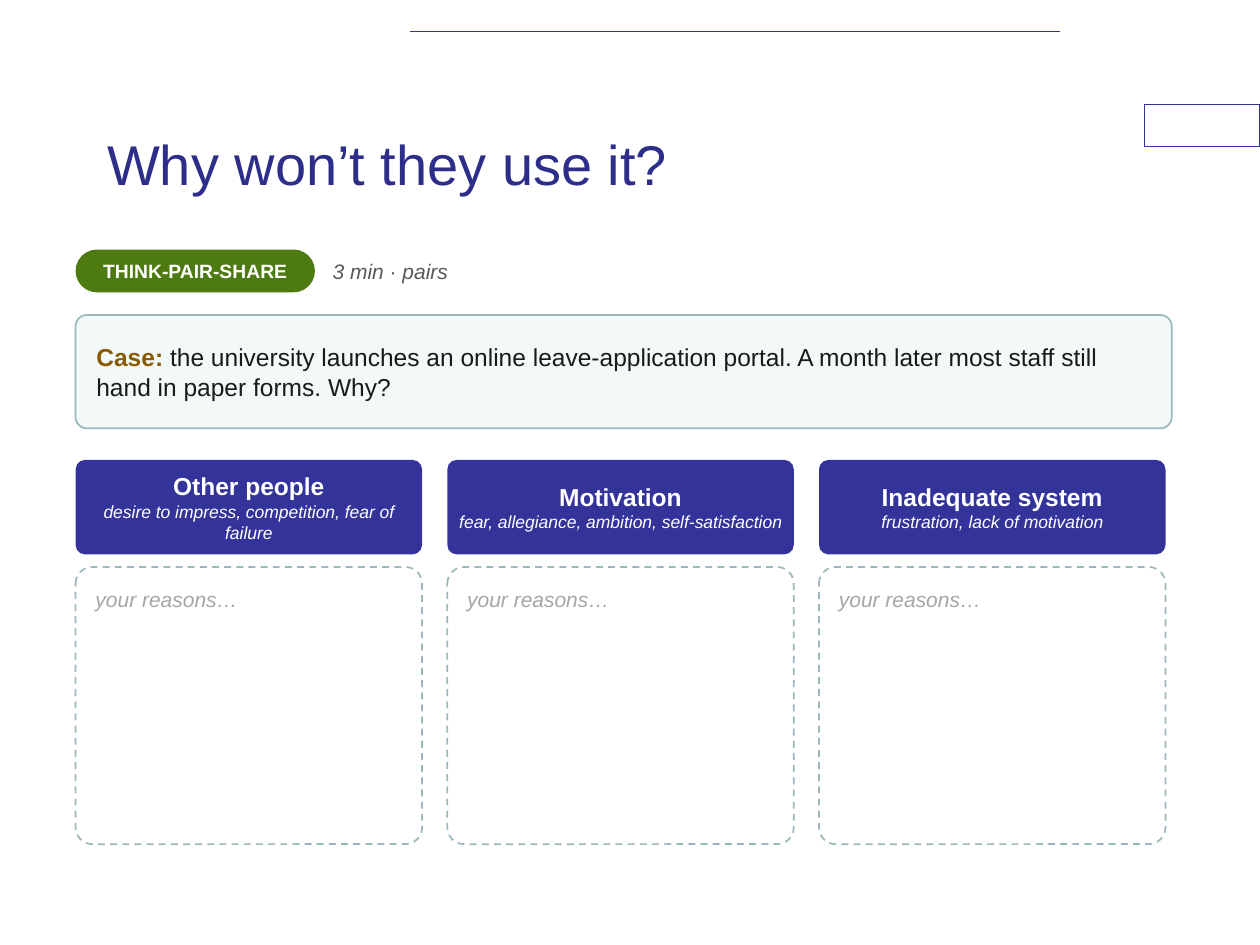
from lxml import etree
from pptx import Presentation
from pptx.dml.color import RGBColor
from pptx.enum import dml, shapes, text
from pptx.oxml.ns import qn
from pptx.util import Pt

FONT = "Arial"
INDIGO = RGBColor(0x33, 0x33, 0x99)
TITLE_BLUE = RGBColor(0x2D, 0x2D, 0x8A)
GREEN = RGBColor(0x4E, 0x7A, 0x12)
BROWN = RGBColor(0x8A, 0x5A, 0x00)
PALE_TEAL = RGBColor(0xF3, 0xF8, 0xF9)
TEAL = RGBColor(0x9D, 0xB8, 0xBC)
INK = RGBColor(0x1A, 0x1A, 0x1A)
GREY = RGBColor(0x59, 0x59, 0x59)
HINT_GREY = RGBColor(0xA6, 0xA6, 0xA6)
WHITE = RGBColor(0xFF, 0xFF, 0xFF)

LEFT = 43.2
COLUMN_WIDTH, COLUMN_STEP = 198, 212.4
COLUMNS = [
    ("Other people", "desire to impress, competition, fear of failure"),
    ("Motivation", "fear, allegiance, ambition, self-satisfaction"),
    ("Inadequate system", "frustration, lack of motivation"),
]

presentation = Presentation()
presentation.slide_width, presentation.slide_height = Pt(720), Pt(540)
slide = presentation.slides.add_slide(presentation.slide_layouts[5])


def add_box(left, top, width, height, fill=None, line=None, corner=None, inset=0):
    """Add a rectangle, rounded when corner is given, with equal text insets."""
    kind = shapes.MSO_SHAPE.RECTANGLE if corner is None else shapes.MSO_SHAPE.ROUNDED_RECTANGLE
    shape = slide.shapes.add_shape(kind, Pt(left), Pt(top), Pt(width), Pt(height))
    shape.shadow.inherit = False
    if corner is not None:
        shape.adjustments[0] = corner
    if fill is None:
        shape.fill.background()
    else:
        shape.fill.solid()
        shape.fill.fore_color.rgb = fill
    if line is None:
        shape.line.fill.background()
    else:
        shape.line.color.rgb = line
        shape.line.width = Pt(1)
    frame = shape.text_frame
    frame.word_wrap = True
    frame.vertical_anchor = text.MSO_ANCHOR.MIDDLE
    frame.margin_left = frame.margin_right = frame.margin_top = frame.margin_bottom = Pt(inset)
    return shape


def format_paragraph(paragraph, size, color, bold=False, italic=False, align=text.PP_ALIGN.LEFT):
    paragraph.alignment = align
    font = paragraph.font
    font.name, font.size, font.bold, font.italic = FONT, Pt(size), bold, italic
    font.color.rgb = color


# Frame decoration
corner_tab = add_box(653.8, 59.8, 66.2, 23.8, WHITE, INDIGO)
corner_tab.line.width = Pt(0.75)
top_rule = slide.shapes.add_connector(
    shapes.MSO_CONNECTOR.STRAIGHT, Pt(234), Pt(18), Pt(606), Pt(18))
top_rule.line.color.rgb = INDIGO
top_rule.line.width = Pt(1)
etree.SubElement(top_rule._element.spPr, qn("a:effectLst"))

# Title
title = slide.shapes.title
title.left, title.top, title.width, title.height = Pt(54), Pt(48), Pt(540), Pt(90)
title.text_frame.text = "Why won’t they use it?"
title.text_frame.vertical_anchor = text.MSO_ANCHOR.MIDDLE
format_paragraph(title.text_frame.paragraphs[0], 32, TITLE_BLUE)

# Activity badge and timing
badge = add_box(LEFT, 142.6, 136.8, 24.5, GREEN, corner=0.5, inset=2)
badge.text_frame.text = "THINK-PAIR-SHARE"
format_paragraph(badge.text_frame.paragraphs[0], 11, WHITE, bold=True, align=text.PP_ALIGN.CENTER)

timing = slide.shapes.add_textbox(Pt(188.6), Pt(142.6), Pt(432), Pt(24.5)).text_frame
timing.word_wrap = True
timing.vertical_anchor = text.MSO_ANCHOR.MIDDLE
timing.margin_left = timing.margin_right = timing.margin_top = timing.margin_bottom = Pt(1.5)
timing.text = "3 min · pairs"
format_paragraph(timing.paragraphs[0], 12, GREY, italic=True)

# Case
case = add_box(LEFT, 180, 626.4, 64.8, PALE_TEAL, TEAL, corner=0.1, inset=10)
case_paragraph = case.text_frame.paragraphs[0]
format_paragraph(case_paragraph, 14, INK)
label = case_paragraph.add_run()
label.text = "Case: "
label.font.bold = True
label.font.color.rgb = BROWN
case_paragraph.add_run().text = (
    "the university launches an online leave-application portal. "
    "A month later most staff still hand in paper forms. Why?")

# Columns: a heading card above a dashed answer area
for index, (heading, examples) in enumerate(COLUMNS):
    left = LEFT + index * COLUMN_STEP

    card = add_box(left, 262.8, COLUMN_WIDTH, 54, INDIGO, corner=0.1, inset=4.3)
    card.text_frame.text = f"{heading}\n{examples}"
    heading_paragraph, examples_paragraph = card.text_frame.paragraphs
    format_paragraph(heading_paragraph, 14, WHITE, bold=True, align=text.PP_ALIGN.CENTER)
    format_paragraph(examples_paragraph, 10, WHITE, italic=True, align=text.PP_ALIGN.CENTER)

    answer = add_box(left, 324, COLUMN_WIDTH, 158.4, line=TEAL, corner=0.06, inset=8.6)
    answer.line.dash_style = dml.MSO_LINE.DASH
    answer.text_frame.vertical_anchor = text.MSO_ANCHOR.TOP
    answer.text_frame.text = "your reasons…"
    format_paragraph(answer.text_frame.paragraphs[0], 12, HINT_GREY, italic=True)

presentation.save("out.pptx")
